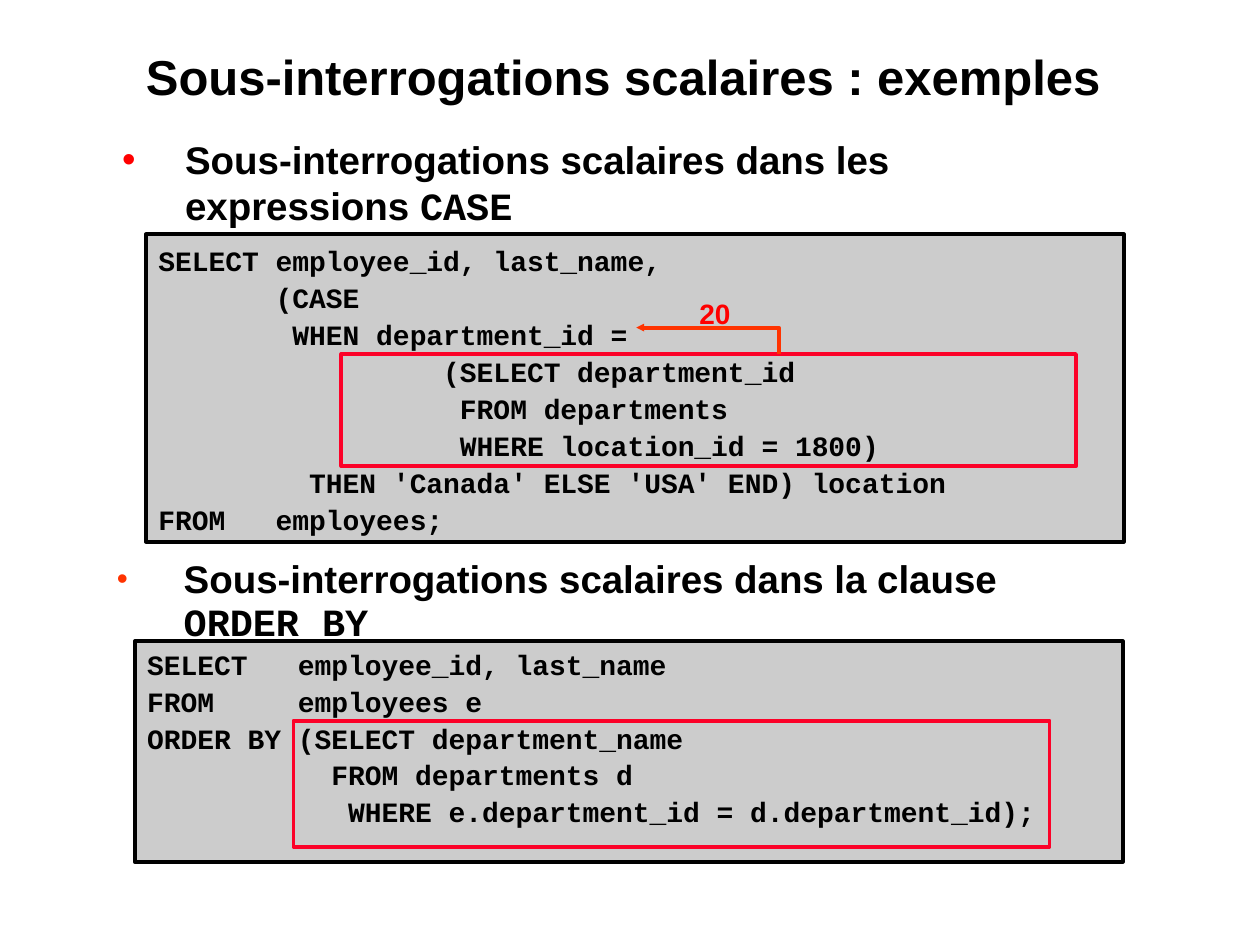
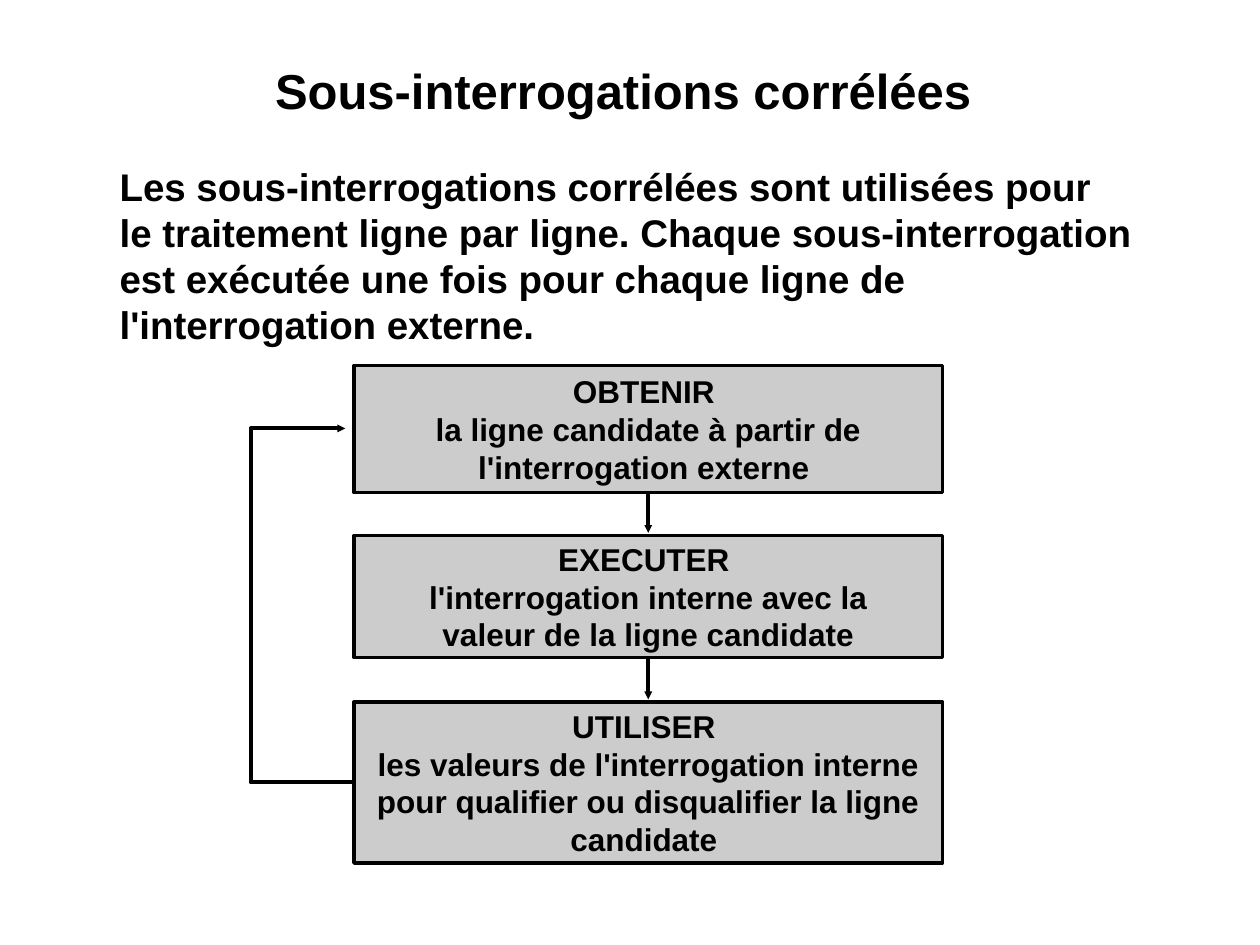
from lxml import etree
from pptx import Presentation
from pptx.dml.color import RGBColor
from pptx.enum.shapes import MSO_CONNECTOR, MSO_SHAPE
from pptx.enum.text import MSO_ANCHOR, PP_ALIGN
from pptx.oxml.ns import qn
from pptx.util import Inches, Pt

RECTANGLE = MSO_SHAPE.RECTANGLE
STRAIGHT = MSO_CONNECTOR.STRAIGHT
LEFT, CENTER = PP_ALIGN.LEFT, PP_ALIGN.CENTER
TOP, MIDDLE = MSO_ANCHOR.TOP, MSO_ANCHOR.MIDDLE

COLORS = {
    "text": "000000",
    "panel": "CCCCCC",
    "highlight": "FC0128",
    "result": "FF0000",
    "arrow": "FF3300",
}
SANS, MONO = "Arial", "Courier New"
TITLE_SIZE, BODY_SIZE, STEP_SIZE, CODE_SIZE = 28, 22, 18, 16
THIN_MARGINS = (0.01, 0.01)
BOX_MARGINS = (0.1, 0.05)

prs = Presentation()
prs.slide_width, prs.slide_height = Inches(10), Inches(7.5)
# The slide is a grid of 100 columns by 75 rows.
COLUMN = prs.slide_width / 100
ROW = prs.slide_height / 75


def add_box(slide, place, text="", size=BODY_SIZE, font=SANS, color="text", align=LEFT,
            anchor=TOP, margins=BOX_MARGINS, spacing=None, fill=None, line=None, weight=2.25):
    """Add a text box, or a rectangle when a line colour is given; place is in grid cells."""
    x, y, width, height = place
    area = [round(v) for v in (x * COLUMN, y * ROW, width * COLUMN, height * ROW)]
    if line:
        box = slide.shapes.add_shape(RECTANGLE, *area)
        box.shadow.inherit = False
        box.line.color.rgb = RGBColor.from_string(COLORS[line])
        box.line.width = Pt(weight)
        if fill:
            box.fill.solid()
            box.fill.fore_color.rgb = RGBColor.from_string(COLORS[fill])
        else:
            box.fill.background()
    else:
        box = slide.shapes.add_textbox(*area)
    if not text:
        return box
    frame = box.text_frame
    frame.word_wrap = True
    frame.vertical_anchor = anchor
    frame.margin_left = frame.margin_right = Inches(margins[0])
    frame.margin_top = frame.margin_bottom = Inches(margins[1])
    frame.text = text
    for paragraph in frame.paragraphs:
        paragraph.alignment = align
        if spacing:
            paragraph.line_spacing = spacing
        for run in paragraph.runs:
            run.font.name, run.font.size, run.font.bold = font, Pt(size), True
            run.font.color.rgb = RGBColor.from_string(COLORS[color])
    return box


def add_arrow(slide, points, color):
    """Draw a line through grid points with a small arrowhead at the last one."""
    points = [(round(x * COLUMN), round(y * ROW)) for x, y in points]
    if len(points) == 2:
        arrow = slide.shapes.add_connector(STRAIGHT, *points[0], *points[1])
    else:
        builder = slide.shapes.build_freeform(*points[0])
        builder.add_line_segments(points[1:], close=False)
        arrow = builder.convert_to_shape()
        arrow.fill.background()
    arrow.line.color.rgb = RGBColor.from_string(COLORS[color])
    arrow.line.width = Pt(2.25)
    properties = arrow._element.spPr
    etree.SubElement(properties.find(qn("a:ln")), qn("a:tailEnd"), type="triangle", w="sm", len="sm")
    etree.SubElement(properties, qn("a:effectLst"))


# Titles
slides = []
for title, title_top in (("Sous-interrogations scalaires : exemples ", 3.6),
                         ("Sous-interrogations corrélées ", 4.7)):
    slide = prs.slides.add_slide(prs.slide_layouts[6])
    add_box(slide, (10, title_top, 80, 9.6), title, TITLE_SIZE, align=CENTER, margins=THIN_MARGINS)
    slides.append(slide)
examples, correlated = slides

# Slide 1: code examples
CASE_QUERY = """SELECT employee_id, last_name,
       (CASE
        WHEN department_id =
                 (SELECT department_id
                  FROM departments
                  WHERE location_id = 1800)
         THEN 'Canada' ELSE 'USA' END) location
FROM   employees;"""
ORDER_QUERY = """SELECT   employee_id, last_name
FROM     employees e
ORDER BY (SELECT department_name
           FROM departments d
            WHERE e.department_id = d.department_id);"""

queries = (
    (CASE_QUERY, (11.6, 18.6, 77.6, 24.4), 0.05, (27.1, 28.1, 58.3, 8.9)),
    (ORDER_QUERY, (10.7, 50.9, 78.4, 17.5), 0.02, (23.3, 57.2, 60, 10)),
)
for query, panel, top_margin, subquery in queries:
    add_box(examples, panel, query, CODE_SIZE, MONO, margins=(0.1, top_margin), spacing=1.1,
            fill="panel", line="text")
    add_box(examples, subquery, line="highlight")

bullets = (
    ("Sous-interrogations scalaires dans les expressions ", "CASE",
     (8.3, 10.7, 80.6, 7.6), THIN_MARGINS, None, 0.63, 0.5, "result", 100),
    ("Sous-interrogations scalaires dans la clause\v", "ORDER BY",
     (8.3, 43.8, 80.8, 8), BOX_MARGINS, 0.95, 0.53, 0.53, "arrow", 82),
)
for lead, keyword, place, margins, spacing, indent, hanging, dot_color, dot_share in bullets:
    topic = add_box(examples, place, lead, margins=margins, spacing=spacing)
    paragraph = topic.text_frame.paragraphs[0]
    properties = paragraph._p.get_or_add_pPr()
    properties.set("marL", str(Inches(indent)))
    properties.set("indent", str(-Inches(hanging)))
    dot = etree.SubElement(properties, qn("a:buClr"))
    etree.SubElement(dot, qn("a:srgbClr"), val=COLORS[dot_color])
    etree.SubElement(properties, qn("a:buSzPct"), val=str(dot_share * 1000))
    etree.SubElement(properties, qn("a:buFont"), typeface=SANS)
    etree.SubElement(properties, qn("a:buChar"), char="•")
    code_word = paragraph.add_run()
    code_word.text = keyword
    code_word.font.name, code_word.font.size, code_word.font.bold = MONO, Pt(BODY_SIZE), True
    code_word.font.color.rgb = RGBColor.from_string(COLORS["text"])

add_box(examples, (54.5, 22.5, 5.1, 4.2), "20 ", CODE_SIZE, color="result", align=CENTER, spacing=1.2)
add_arrow(examples, [(61.8, 28.1), (61.8, 26), (50.5, 26)], "arrow")

# Slide 2: loop of three steps
add_box(correlated, (9.4, 12.8, 80.6, 14.9),
        "Les sous-interrogations corrélées sont utilisées pour le traitement ligne par ligne. "
        "Chaque sous-interrogation est exécutée une fois pour chaque ligne "
        "de l'interrogation externe.", margins=THIN_MARGINS)

STEP_LEFT, STEP_WIDTH = 28.1, 46.7
STEP_CENTER = STEP_LEFT + STEP_WIDTH / 2
steps = (
    (29, 10.1, "OBTENIR \nla ligne candidate à partir de l'interrogation externe "),
    (42.5, 9.7, "EXECUTER \nl'interrogation interne avec la\v valeur de la ligne candidate "),
    (55.7, 12.8, "UTILISER \nles valeurs de l'interrogation interne pour qualifier "
                 "ou disqualifier la ligne candidate "),
)
for top, height, step in steps:
    add_box(correlated, (STEP_LEFT, top, STEP_WIDTH, height), step, STEP_SIZE, align=CENTER,
            anchor=MIDDLE, fill="panel", line="text", weight=2)
for (top, height, _), (next_top, _, _) in zip(steps, steps[1:]):
    add_arrow(correlated, [(STEP_CENTER, top + height), (STEP_CENTER, next_top - 0.2)], "text")

LOOP_LEFT, LOOP_TOP, LOOP_BOTTOM = 19.9, 34, 62.1
add_arrow(correlated, [(STEP_LEFT, LOOP_BOTTOM), (LOOP_LEFT, LOOP_BOTTOM),
                       (LOOP_LEFT, LOOP_TOP), (STEP_LEFT - 0.7, LOOP_TOP)], "text")

prs.save("out.pptx")
